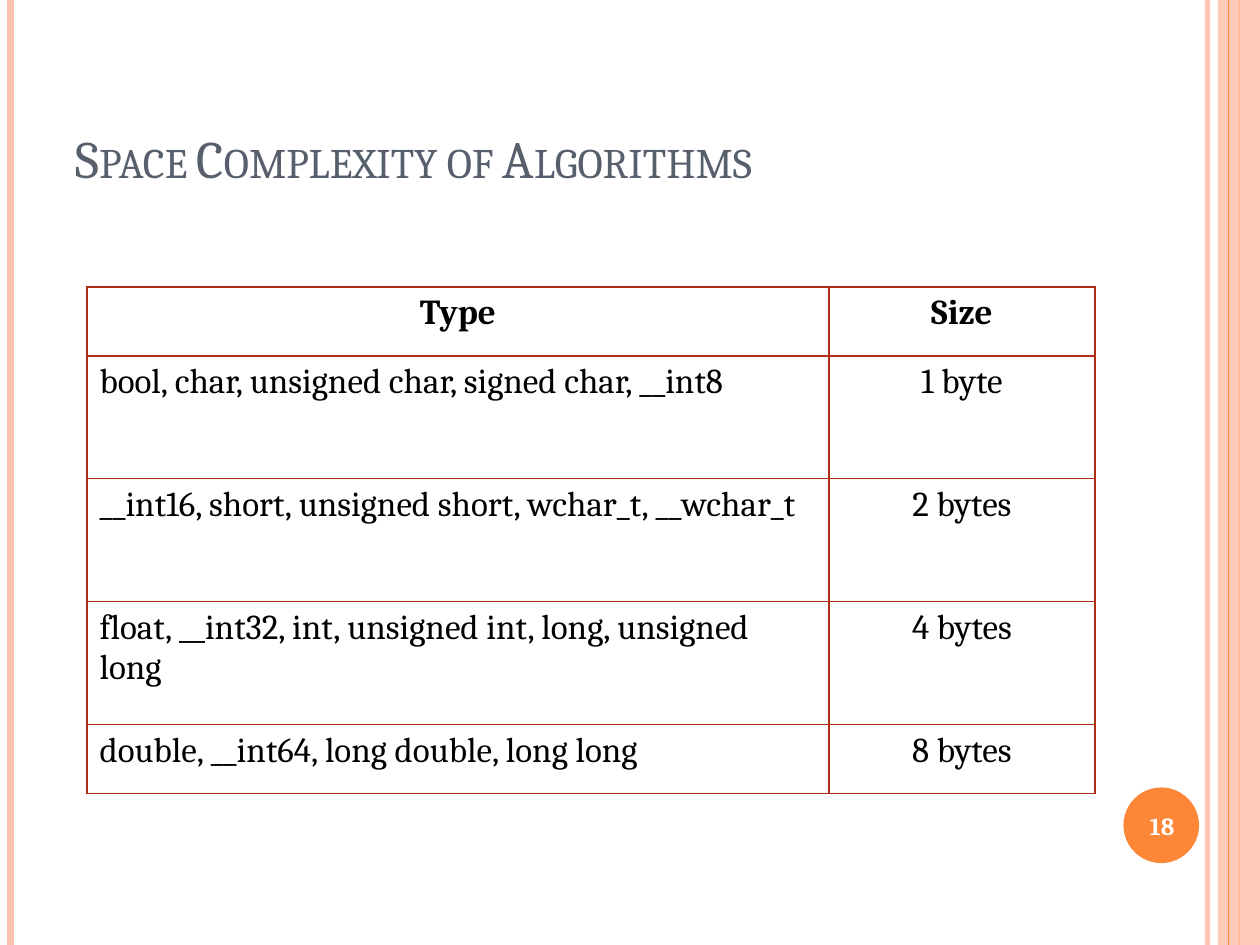
from typing import NamedTuple, Optional

from lxml.etree import SubElement
from pptx import Presentation
from pptx.dml.color import RGBColor
from pptx.enum.shapes import MSO_CONNECTOR as Connector, MSO_SHAPE as Shape
from pptx.enum.text import MSO_ANCHOR as Anchor, PP_ALIGN as Align
from pptx.oxml import parse_xml
from pptx.oxml.ns import nsdecls, qn
from pptx.util import Pt

"""Build the slide on the space complexity of algorithms."""

WIDTH, HEIGHT = 720, 540
FONT = "Cambria"
PEACH = RGBColor(0xFE, 0xC3, 0xAE)
ORANGE = RGBColor(0xFE, 0x86, 0x37)
SLATE = RGBColor(0x57, 0x5F, 0x6D)
BRICK = RGBColor(0xB3, 0x2C, 0x16)
BLACK = RGBColor(0, 0, 0)
WHITE = RGBColor(0xFF, 0xFF, 0xFF)


class Rule(NamedTuple):
    x: float
    weight: float
    color: RGBColor
    opacity: Optional[int] = None


class Box(NamedTuple):
    left: float
    top: float
    width: float
    height: float

    def lengths(self) -> list:
        return [Pt(value) for value in self]


class TextStyle(NamedTuple):
    size: float
    color: RGBColor
    bold: bool = False
    align: Align = Align.LEFT


class TypeRow(NamedTuple):
    types: str
    size: str
    height: float


RULES_BEHIND = [
    Rule(690, 3, PEACH, 93),
    Rule(6, 4.5, PEACH),
    Rule(708, 1.5, ORANGE),
]
RULE_IN_FRONT = Rule(702, 0.75, ORANGE)
BAND = Box(696, 0, 24, HEIGHT)
BADGE = Box(642, 450, 43.2, 43.2)
TITLE_BOX = Box(36, 21.6, 588, 90)
NUMBER_BOX = Box(640, 451.4, 48, 41)
TABLE_BOX = Box(49.7, 164, 576, 289.2)
COLUMN_WIDTHS = [424, 152]
ROWS = [
    TypeRow("Type", "Size", 39.4),
    TypeRow("bool, char, unsigned char, signed char, __int8", "1 byte", 70.2),
    TypeRow("__int16, short, unsigned short, wchar_t, __wchar_t", "2 bytes", 70.2),
    TypeRow("float, __int32, int, unsigned int, long, unsigned long", "4 bytes", 70.2),
    TypeRow("double, __int64, long double, long long", "8 bytes", 39.4),
]


def set_opacity(properties, percent: int) -> None:
    color = next(properties.iter(qn("a:srgbClr")))
    SubElement(color, qn("a:alpha")).set("val", str(percent * 1000))


def draw_rule(slide, rule: Rule) -> None:
    line = slide.shapes.add_connector(
        Connector.STRAIGHT, Pt(rule.x), Pt(0), Pt(rule.x), Pt(HEIGHT))
    line.line.color.rgb = rule.color
    line.line.width = Pt(rule.weight)
    properties = line._element.spPr
    if rule.opacity is not None:
        set_opacity(properties, rule.opacity)
    SubElement(properties, qn("a:effectLst"))


def draw_shape(slide, kind: Shape, box: Box, color: RGBColor,
               opacity: Optional[int] = None) -> None:
    shape = slide.shapes.add_shape(kind, *box.lengths())
    shape.shadow.inherit = False
    shape.fill.solid()
    shape.fill.fore_color.rgb = color
    shape.line.fill.background()
    if opacity is not None:
        set_opacity(shape._element.spPr, opacity)


def write(text_frame, text: str, style: TextStyle):
    text_frame.text = text
    paragraph = text_frame.paragraphs[0]
    paragraph.alignment = style.align
    run = paragraph.runs[0]
    run.font.name = FONT
    run.font.size = Pt(style.size)
    run.font.bold = style.bold
    run.font.color.rgb = style.color
    return run


def draw_text(slide, box: Box, text: str, style: TextStyle, anchor: Anchor):
    text_frame = slide.shapes.add_textbox(*box.lengths()).text_frame
    text_frame.word_wrap = True
    text_frame.vertical_anchor = anchor
    return write(text_frame, text, style)


def set_borders(cell, color: RGBColor, weight: float) -> None:
    properties = cell._tc.get_or_add_tcPr()
    for index, side in enumerate(("lnL", "lnR", "lnT", "lnB")):
        properties.insert(index, parse_xml(
            f'<a:{side} {nsdecls("a")} w="{Pt(weight)}"><a:solidFill>'
            f'<a:srgbClr val="{color}"/></a:solidFill></a:{side}>'))


def draw_table(slide, box: Box, rows: list[TypeRow]) -> None:
    table = slide.shapes.add_table(
        len(rows), len(COLUMN_WIDTHS), *box.lengths()).table
    table.first_row = False
    table.horz_banding = False
    for column, width in zip(table.columns, COLUMN_WIDTHS):
        column.width = Pt(width)
    for row_index, row in enumerate(rows):
        table.rows[row_index].height = Pt(row.height)
        is_header = row_index == 0
        for column_index, text in enumerate((row.types, row.size)):
            cell = table.cell(row_index, column_index)
            centred = is_header or column_index == 1
            align = Align.CENTER if centred else Align.LEFT
            write(cell.text_frame, text, TextStyle(20, BLACK, is_header, align))
            cell.fill.background()
            set_borders(cell, BRICK, 1)


def main() -> None:
    presentation = Presentation()
    presentation.slide_width = Pt(WIDTH)
    presentation.slide_height = Pt(HEIGHT)
    slide = presentation.slides.add_slide(presentation.slide_layouts[6])

    for rule in RULES_BEHIND:
        draw_rule(slide, rule)
    draw_shape(slide, Shape.RECTANGLE, BAND, PEACH, 87)
    draw_rule(slide, RULE_IN_FRONT)
    draw_shape(slide, Shape.OVAL, BADGE, ORANGE)

    title = draw_text(slide, TITLE_BOX, "Space Complexity of Algorithms",
                      TextStyle(30, SLATE), Anchor.BOTTOM)
    title.font._element.set("cap", "small")
    draw_text(slide, NUMBER_BOX, "18",
              TextStyle(14, WHITE, True, Align.CENTER), Anchor.MIDDLE)
    draw_table(slide, TABLE_BOX, ROWS)
    presentation.save("out.pptx")


if __name__ == "__main__":
    main()
